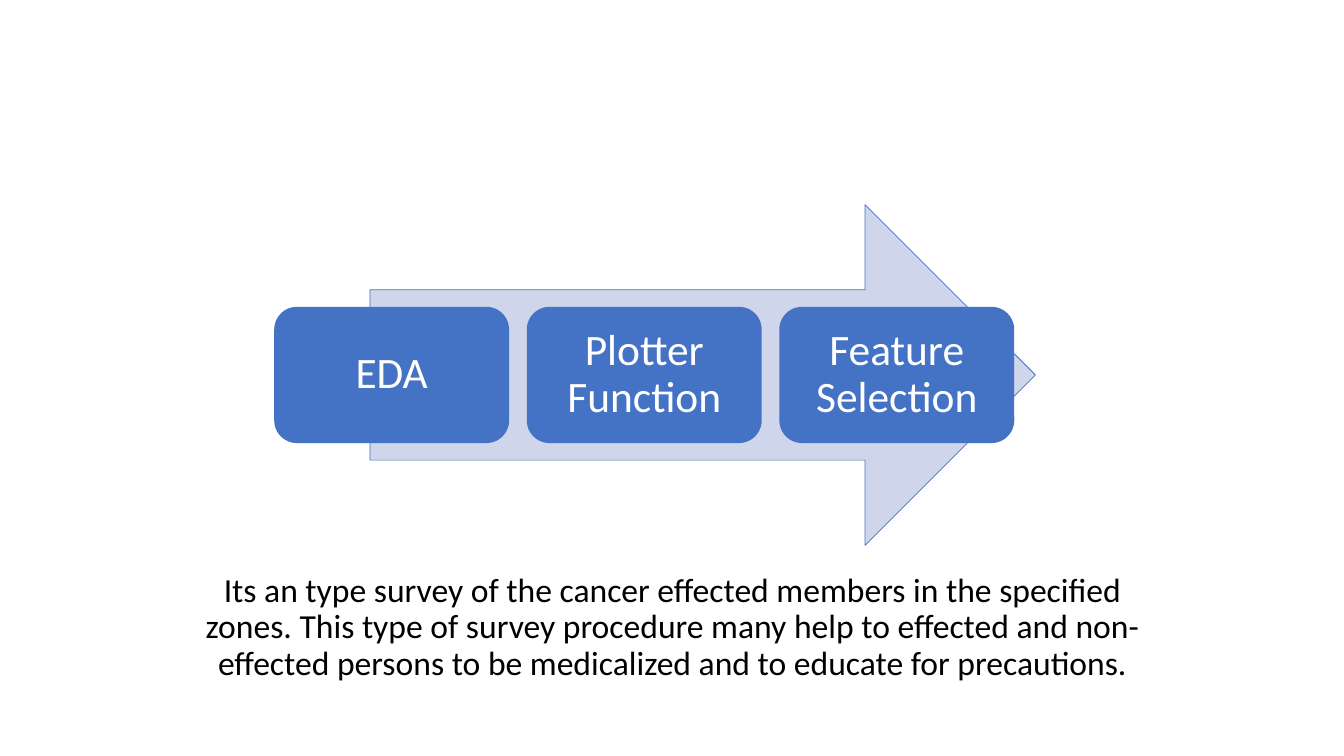
import pptx
import pptx.dml.color
import pptx.enum.shapes
import pptx.enum.text
import pptx.util
from pptx.util import Inches

FONT = "Calibri"
BLUE, PALE, WHITE, BLACK = "4472C4", "CFD5EA", "FFFFFF", "000000"
STEPS = ["EDA", "Plotter Function", "Feature Selection"]
SUMMARY = ("Its an type survey of the cancer effected members in the specified zones. "
           "This type of survey procedure many help to effected and non-effected persons "
           "to be medicalized and to educate for precautions.")
SHAPES = pptx.enum.shapes.MSO_SHAPE
ANCHOR = pptx.enum.text.MSO_ANCHOR


def colour(hex_code):
    return pptx.dml.color.RGBColor.from_string(hex_code)


def write(frame, text, size, hex_code, anchor, inset):
    """Fill a text frame with one centred paragraph."""
    frame.word_wrap = True
    frame.auto_size = pptx.enum.text.MSO_AUTO_SIZE.NONE
    frame.vertical_anchor = anchor
    frame.margin_left = frame.margin_right = Inches(inset[0])
    frame.margin_top = frame.margin_bottom = Inches(inset[1])
    para = frame.paragraphs[0]
    para.alignment = pptx.enum.text.PP_ALIGN.CENTER
    para.line_spacing = 0.9
    span = para.add_run()
    span.text = text
    span.font.name = FONT
    span.font.size = pptx.util.Pt(size)
    span.font.color.rgb = colour(hex_code)
    return para


def add_filled(page, kind, box, fill):
    shape = page.shapes.add_shape(kind, *[Inches(length) for length in box])
    shape.shadow.inherit = False
    shape.fill.solid()
    shape.fill.fore_color.rgb = colour(fill)
    shape.line.fill.background()
    return shape


def add_process(page, box):
    """Draw the arrow with the row of step cards over it."""
    left, top, width, height = box

    # Arrow behind the cards
    arrow = add_filled(page, SHAPES.RIGHT_ARROW,
                       (left + 0.95, top, width - 0.95, height), PALE)
    arrow.line.color.rgb = colour(BLUE)
    arrow.line.width = pptx.util.Pt(0.5)

    # Equal cards, centred on the arrow's height
    card_width, pitch = 2.33, 2.505
    card_height = height * 0.4
    for index, step in enumerate(STEPS):
        card = add_filled(page, SHAPES.ROUNDED_RECTANGLE,
                          (left + index * pitch, top + (height - card_height) / 2,
                           card_width, card_height), BLUE)
        write(card.text_frame, step, 31, WHITE, ANCHOR.MIDDLE, (0.13, 0.13))


def add_summary(page, box):
    """Place the summary in the subtitle placeholder."""
    summary = page.placeholders[1]
    summary.left, summary.top, summary.width, summary.height = map(Inches, box)
    para = write(summary.text_frame, SUMMARY, 24, BLACK, ANCHOR.TOP, (0.1, 0.05))
    para.space_before = pptx.util.Pt(10)


deck = pptx.Presentation()
deck.slide_width, deck.slide_height = Inches(13.33), Inches(7.5)
page = deck.slides.add_slide(deck.slide_layouts[0])

# The slide shows no title
title = page.shapes.title.element
title.getparent().remove(title)

add_summary(page, (1.67, 5.64, 10, 1.81))
add_process(page, (2.72, 2.03, 7.55, 3.38))
deck.save("out.pptx")
